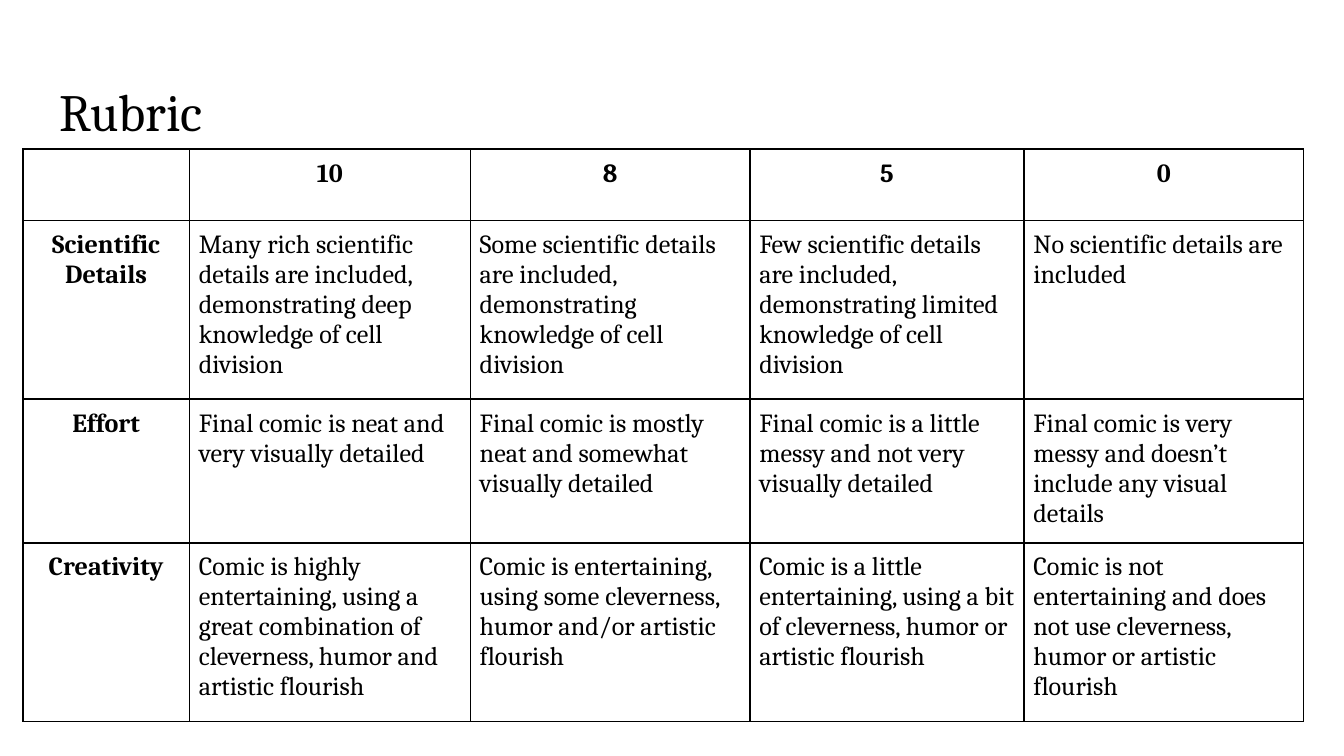
from lxml.etree import SubElement
from pptx import Presentation
from pptx.dml.color import RGBColor
from pptx.enum.text import MSO_ANCHOR, PP_ALIGN
from pptx.oxml.ns import qn
from pptx.util import Inches, Pt

TITLE = "Rubric"
ROWS = [
    ["", "10", "8", "5", "0"],
    ["Scientific Details",
     "Many rich scientific details are included, demonstrating deep knowledge of cell division",
     "Some scientific details are included, demonstrating knowledge of cell division",
     "Few scientific details are included, demonstrating limited knowledge of cell division",
     "No scientific details are included"],
    ["Effort",
     "Final comic is neat and very visually detailed",
     "Final comic is mostly neat and somewhat visually detailed",
     "Final comic is a little messy and not very visually detailed",
     "Final comic is very messy and doesn’t include any visual details"],
    ["Creativity",
     "Comic is highly entertaining, using a great combination of cleverness, humor and artistic flourish",
     "Comic is entertaining, using some cleverness, humor and/or artistic flourish",
     "Comic is a little entertaining, using a bit of cleverness, humor or artistic flourish",
     "Comic is not entertaining and does not use cleverness, humor or artistic flourish"],
]
WIDTHS = [1.24, 2.09, 2.08, 2.04, 2.08]
HEIGHTS = [0.53, 1.33, 1.07, 1.33]
FONT = "Cambria"
BLACK = RGBColor(0, 0, 0)


def style(para, size, bold, align):
    para.alignment = align
    for font in [para.font] + [run.font for run in para.runs]:
        font.name, font.size, font.bold = FONT, Pt(size), bold
        font.color.rgb = BLACK


def inset(box, gap):
    box.margin_left = box.margin_right = Inches(gap)
    box.margin_top = box.margin_bottom = Inches(gap)


def border(cell):
    props = cell._tc.get_or_add_tcPr()
    for n, side in enumerate(("a:lnL", "a:lnR", "a:lnT", "a:lnB")):
        line = props.makeelement(qn(side), {"w": str(Pt(1))})
        fill = SubElement(line, qn("a:solidFill"))
        SubElement(fill, qn("a:srgbClr"), val=str(BLACK))
        props.insert(n, line)


def add_title(slide):
    title = slide.shapes.title
    title.left, title.top = Inches(0.34), Inches(0.49)
    title.width, title.height = Inches(9.32), Inches(0.63)
    frame = title.text_frame
    frame.text = TITLE
    frame.word_wrap = True
    frame.vertical_anchor = MSO_ANCHOR.TOP
    inset(frame, 0.1)
    style(frame.paragraphs[0], 28, False, PP_ALIGN.LEFT)


def add_grid(slide):
    table = slide.shapes.add_table(
        len(ROWS), len(WIDTHS), Inches(0.17), Inches(1.11),
        Inches(sum(WIDTHS)), Inches(sum(HEIGHTS))).table
    table.first_row = table.horz_banding = False
    for col, width in zip(table.columns, WIDTHS):
        col.width = Inches(width)
    for row, height in zip(table.rows, HEIGHTS):
        row.height = Inches(height)
    for r, row in enumerate(ROWS):
        for c, text in enumerate(row):
            cell = table.cell(r, c)
            head = r == 0 or c == 0
            cell.text_frame.text = text
            cell.vertical_anchor = MSO_ANCHOR.TOP
            cell.fill.background()
            inset(cell, 0.07)
            border(cell)
            style(cell.text_frame.paragraphs[0], 14, head,
                  PP_ALIGN.CENTER if head else PP_ALIGN.LEFT)


def main():
    deck = Presentation()
    deck.slide_width = Inches(10)
    deck.slide_height = deck.slide_width * 9 // 16
    slide = deck.slides.add_slide(deck.slide_layouts[5])
    add_title(slide)
    add_grid(slide)
    deck.save("out.pptx")


if __name__ == "__main__":
    main()
